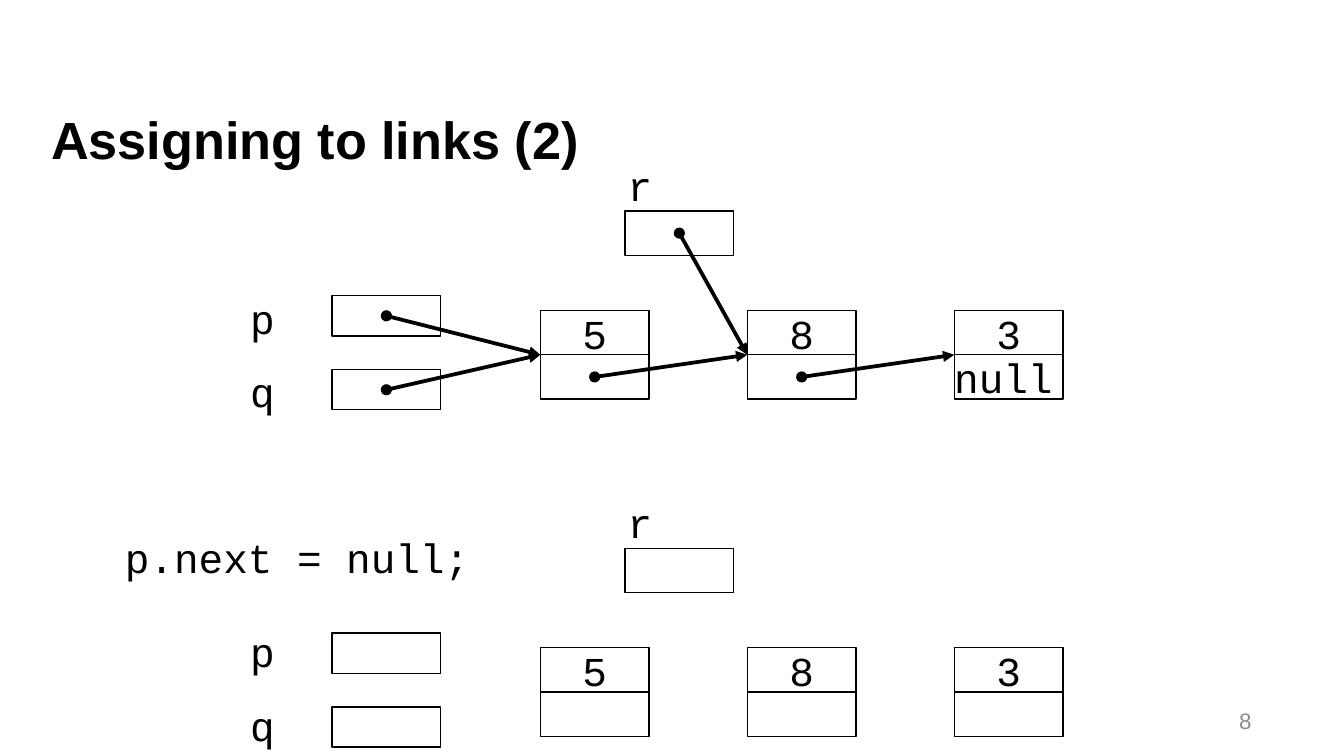
"""Build a slide showing linked-list pointers before and after an assignment."""
import dataclasses

import lxml.etree
import pptx
import pptx.dml.color
import pptx.enum.shapes
import pptx.enum.text
import pptx.oxml.ns
import pptx.shapes.autoshape
import pptx.slide
import pptx.text.text
import pptx.util

Inches = pptx.util.Inches
Align = pptx.enum.text.PP_ALIGN
Anchor = pptx.enum.text.MSO_ANCHOR


@dataclasses.dataclass(frozen=True)
class Theme:
    ink: str = "000000"
    muted: str = "8C8C8C"
    sans: str = "Arial"
    mono: str = "Courier New"
    title_size: float = 28
    code_size: float = 22
    number_size: float = 12
    code_space: float = 2.8
    title_space: float = 4
    outline: float = 0
    arrow: float = 2


@dataclasses.dataclass(frozen=True)
class Frame:
    left: float
    top: float
    width: float
    height: float

    @property
    def center(self) -> tuple[float, float]:
        return self.left + self.width / 2, self.top + self.height / 2

    def lengths(self) -> tuple[int, ...]:
        return tuple(Inches(value) for value in dataclasses.astuple(self))


@dataclasses.dataclass(frozen=True)
class Pointer:
    name: str
    label: Frame
    indent: float
    cell: Frame
    target: int


@dataclasses.dataclass(frozen=True)
class Diagram:
    top: float
    label_top: float
    linked: bool


THEME = Theme()
CELL_WIDTH, CELL_HEIGHT, POINTER_HEIGHT = 0.81, 0.33, 0.3
NODE_LEFT, NODE_STEP = 4.02, 1.54
POINTER_GAP = 0.55
VALUES = ("5", "8", "3")
DIAGRAMS = (Diagram(2.31, 2.18, True), Diagram(4.82, 4.66, False))


def write(para: pptx.text.text._Paragraph, text: str, size: float, font: str,
          color: str, bold: bool = False) -> None:
    """Add one formatted run to a paragraph."""
    span = para.add_run()
    span.text = text
    span.font.size = pptx.util.Pt(size)
    span.font.name = font
    span.font.bold = bold
    span.font.color.rgb = pptx.dml.color.RGBColor.from_string(color)


def clear_margins(frame: pptx.text.text.TextFrame, left: float = 0) -> None:
    """Remove the text insets, keeping an optional left indent."""
    frame.margin_left = Inches(left)
    frame.margin_top = frame.margin_right = frame.margin_bottom = 0


def write_code(frame: pptx.text.text.TextFrame, text: str, align: Align) -> None:
    """Write one line of code in a text frame."""
    para = frame.paragraphs[0]
    para.alignment = align
    para.space_before = pptx.util.Pt(THEME.code_space)
    write(para, text, THEME.code_size, THEME.mono, THEME.ink)


def add_label(page: pptx.slide.Slide, place: Frame, text: str, indent: float = 0) -> None:
    """Add a code label."""
    frame = page.shapes.add_textbox(*place.lengths()).text_frame
    frame.word_wrap = True
    clear_margins(frame, indent)
    write_code(frame, text, Align.LEFT)


def add_cell(page: pptx.slide.Slide, place: Frame, text: str = "",
             align: Align = Align.CENTER) -> None:
    """Add an outlined memory cell."""
    box = page.shapes.add_shape(pptx.enum.shapes.MSO_SHAPE.RECTANGLE, *place.lengths())
    box.shadow.inherit = False
    box.fill.background()
    box.line.color.rgb = pptx.dml.color.RGBColor.from_string(THEME.ink)
    box.line.width = pptx.util.Pt(THEME.outline)
    if text:
        clear_margins(box.text_frame)
        box.text_frame.word_wrap = False
        box.text_frame.vertical_anchor = Anchor.MIDDLE
        write_code(box.text_frame, text, align)


def add_link(page: pptx.slide.Slide, start: tuple[float, float],
             end: tuple[float, float]) -> None:
    """Add an arrow that starts with a dot."""
    link = page.shapes.add_connector(pptx.enum.shapes.MSO_CONNECTOR.STRAIGHT,
                                     *(Inches(value) for value in start + end))
    link.line.color.rgb = pptx.dml.color.RGBColor.from_string(THEME.ink)
    link.line.width = pptx.util.Pt(THEME.arrow)
    qn = pptx.oxml.ns.qn
    outline = link.element.spPr.find(qn("a:ln"))
    for tag, kind in (("a:headEnd", "oval"), ("a:tailEnd", "triangle")):
        lxml.etree.SubElement(outline, qn(tag), type=kind)
    lxml.etree.SubElement(link.element.spPr, qn("a:effectLst"))


def pointers_of(diagram: Diagram) -> list[Pointer]:
    """Place the p, q and r pointers around a row of nodes."""
    side = [
        Pointer(name, Frame(0.94, diagram.label_top + row * POINTER_GAP, 1.51, 0.35), 0.92,
                Frame(2.47, diagram.top - 0.11 + row * POINTER_GAP, CELL_WIDTH, POINTER_HEIGHT), 0)
        for row, name in enumerate("pq")
    ]
    above = Pointer("r", Frame(4.49, diagram.top - 1.12, 1.64, 0.35), 0.18,
                    Frame(4.65, diagram.top - 0.74, CELL_WIDTH, CELL_HEIGHT), 1)
    return [*side, above]


def draw_diagram(page: pptx.slide.Slide, diagram: Diagram) -> None:
    """Draw the nodes, the pointers and, when linked, their arrows."""
    middle = diagram.top + CELL_HEIGHT
    entries = [(NODE_LEFT + i * NODE_STEP, middle) for i in range(len(VALUES))]
    links = []
    for index, (value, (left, _)) in enumerate(zip(VALUES, entries)):
        following = Frame(left, middle, CELL_WIDTH, CELL_HEIGHT)
        last = index == len(VALUES) - 1
        add_cell(page, following, "null" if last and diagram.linked else "", Align.LEFT)
        add_cell(page, Frame(left, diagram.top, CELL_WIDTH, CELL_HEIGHT), value)
        if not last:
            links.append((following.center, entries[index + 1]))
    for pointer in pointers_of(diagram):
        add_cell(page, pointer.cell)
        add_label(page, pointer.label, pointer.name, pointer.indent)
        links.append((pointer.cell.center, entries[pointer.target]))
    if diagram.linked:
        for start, end in links:
            add_link(page, start, end)


def add_title(page: pptx.slide.Slide, text: str) -> None:
    """Fill the title placeholder."""
    title = page.shapes.title
    title.left, title.top, title.width, title.height = Frame(0.38, 0.8, 9.21, 0.71).lengths()
    frame = title.text_frame
    clear_margins(frame)
    frame.auto_size = pptx.enum.text.MSO_AUTO_SIZE.NONE
    frame.vertical_anchor = Anchor.TOP
    para = frame.paragraphs[0]
    para.alignment = Align.LEFT
    para.space_before = pptx.util.Pt(THEME.title_space)
    write(para, text, THEME.title_size, THEME.sans, THEME.ink, bold=True)


def add_number(page: pptx.slide.Slide, text: str) -> None:
    """Add the page number."""
    frame = page.shapes.add_textbox(*Frame(7.16, 5.21, 2.25, 0.3).lengths()).text_frame
    frame.word_wrap = True
    frame.vertical_anchor = Anchor.MIDDLE
    frame.paragraphs[0].alignment = Align.RIGHT
    write(frame.paragraphs[0], text, THEME.number_size, THEME.sans, THEME.muted)


def main() -> None:
    """Build and save the deck."""
    deck = pptx.Presentation()
    deck.slide_width = Inches(10)
    deck.slide_height = deck.slide_width * 9 // 16
    page = deck.slides.add_slide(deck.slide_layouts.get_by_name("Title Only"))
    add_number(page, "8")
    add_title(page, "Assigning to links (2)")
    for diagram in DIAGRAMS:
        draw_diagram(page, diagram)
    add_label(page, Frame(0.93, 3.96, 2.84, 0.35), "p.next = null;")
    deck.save("out.pptx")


if __name__ == "__main__":
    main()
